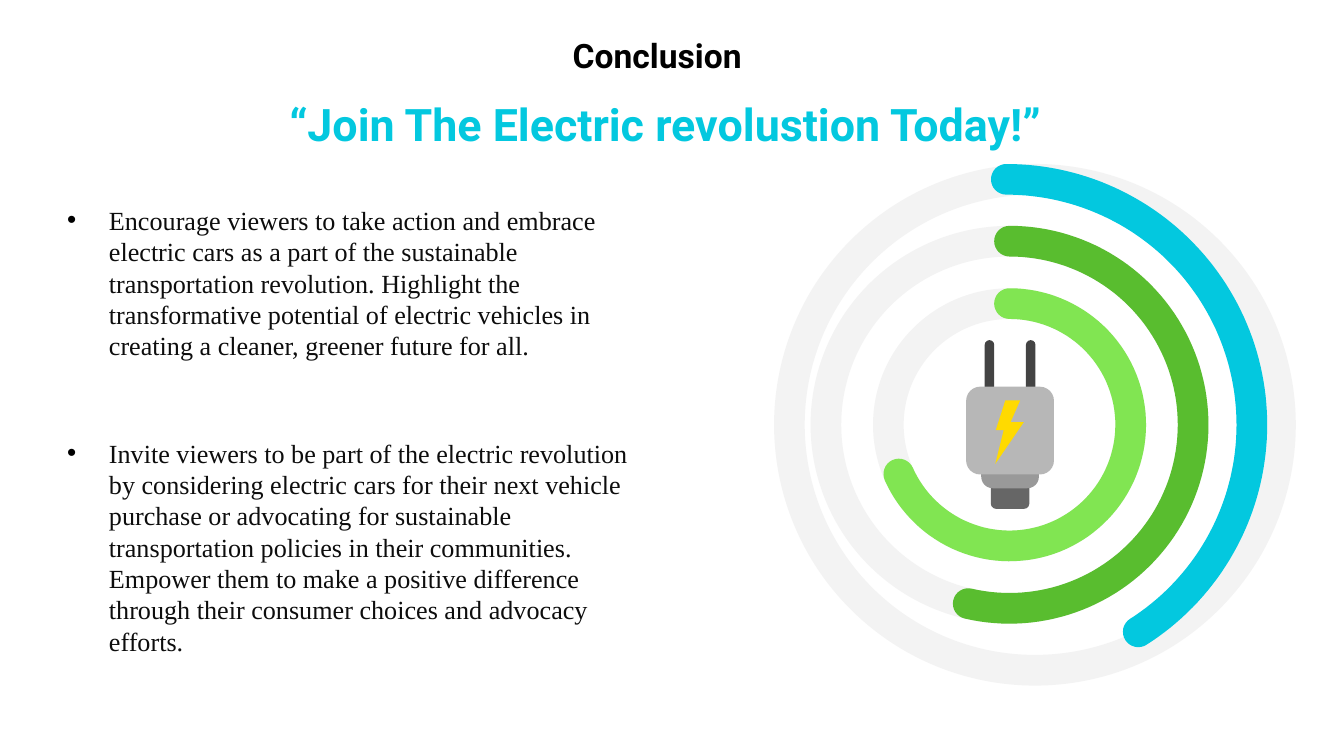
from math import cos, sin, radians

from lxml.etree import SubElement
from pptx import Presentation
from pptx.dml.color import RGBColor
from pptx.enum.shapes import MSO_SHAPE
from pptx.enum.text import MSO_ANCHOR, MSO_AUTO_SIZE, PP_ALIGN
from pptx.oxml.ns import qn
from pptx.util import Cm, Pt

TITLE = "Conclusion"
TAGLINE = "“Join The Electric revolustion Today!”"
BULLETS = [
    ("Encourage viewers to take action and embrace electric cars as a part of the "
     "sustainable transportation revolution. Highlight the transformative potential of "
     "electric vehicles in creating a cleaner, greener future for all.",
     (1.02, 3.73, 11, 3.25)),
    ("Invite viewers to be part of the electric revolution by considering electric cars "
     "for their next vehicle purchase or advocating for sustainable transportation "
     "policies in their communities. Empower them to make a positive difference through "
     "their consumer choices and advocacy efforts.",
     (1.02, 8.13, 11.58, 4.45)),
]

MIDDLE_Y = 8.03
THICKNESS = 0.58
RINGS = [(19.56, 4.93), (19.08, 3.76), (19.08, 2.58)]
ARCS = [
    (19.02, 4.93, 57.5, "03C8DF"),
    (19.08, 3.76, 103, "59BD2F"),
    (19.08, 2.58, 156, "81E552"),
]
PLUG_X = 19.09
PLUG_PARTS = [
    (0, 8.89, 0.73, 0.73, 0.14, "666666"),
    (-0.39, 6.43, 0.18, 1.35, 0.5, "434343"),
    (0.39, 6.43, 0.18, 1.35, 0.5, "434343"),
    (0, 8.13, 1.09, 1.1, 0.2, "999999"),
    (0, 7.31, 1.66, 1.66, 0.16, "B7B7B7"),
]
BOLT = [(19, 7.57), (18.82, 8.13), (18.97, 8.13), (18.81, 8.77),
        (19.35, 7.98), (19.1, 7.98), (19.28, 7.57)]


def color(code):
    return RGBColor.from_string(code)


def paint(shape, code):
    shape.shadow.inherit = False
    shape.fill.solid()
    shape.fill.fore_color.rgb = color(code)
    shape.line.fill.background()


def add_preset(page, kind, left, top, width, height, adjustment, code):
    shape = page.shapes.add_shape(kind, Cm(left), Cm(top), Cm(width), Cm(height))
    shape.adjustments[0] = adjustment
    paint(shape, code)


def add_outline(page, points, code):
    first, *rest = [(Cm(x), Cm(y)) for x, y in points]
    builder = page.shapes.build_freeform(*first)
    builder.add_line_segments(rest, close=True)
    paint(builder.convert_to_shape(), code)


def sweep(x, y, radius, start, end, steps):
    angles = [radians(start + (end - start) * i / steps) for i in range(steps + 1)]
    return [(x + radius * cos(a), y + radius * sin(a)) for a in angles]


def arc_points(x, radius, end):
    start, cap = -90, THICKNESS / 2
    middle = radius - cap
    end_x, end_y = sweep(x, MIDDLE_Y, middle, end, end, 1)[0]
    return (sweep(x, MIDDLE_Y, radius, start, end, 90)
            + sweep(end_x, end_y, cap, end, end + 180, 16)
            + sweep(x, MIDDLE_Y, radius - THICKNESS, end, start, 90)
            + sweep(x, MIDDLE_Y - middle, cap, start + 180, start + 360, 16))


def write(box, text, place, font, size, code, bold=False, inset=0.25, **para_format):
    box.left, box.top, box.width, box.height = map(Cm, place)
    frame = box.text_frame
    frame_format = {
        "word_wrap": True, "auto_size": MSO_AUTO_SIZE.NONE,
        "vertical_anchor": MSO_ANCHOR.TOP,
        "margin_left": Cm(0.25), "margin_right": Cm(0.25),
        "margin_top": Cm(inset), "margin_bottom": Cm(inset),
    }
    for name, value in frame_format.items():
        setattr(frame, name, value)
    para = frame.paragraphs[0]
    for name, value in para_format.items():
        setattr(para, name, value)
    span = para.add_run()
    span.text = text
    for name, value in {"name": font, "size": Pt(size), "bold": bold}.items():
        setattr(span.font, name, value)
    span.font.color.rgb = color(code)
    return para


def add_bullet(para):
    properties = para._p.get_or_add_pPr()
    properties.set("marL", str(Cm(0.79)))
    properties.set("indent", str(-Cm(0.79)))
    tint = SubElement(properties, qn("a:buClr"))
    SubElement(tint, qn("a:srgbClr"), val="000000")
    SubElement(properties, qn("a:buFont"), typeface="Arial")
    SubElement(properties, qn("a:buChar"), char="•")


def add_text_box(page):
    return page.shapes.add_textbox(0, 0, Cm(1), Cm(1))


def main():
    deck = Presentation()
    deck.slide_width, deck.slide_height = Cm(25.4), Cm(14.29)
    page = deck.slides.add_slide(deck.slide_layouts[5])

    write(page.shapes.title, TITLE, (0.99, 0.41, 22.86, 1.35), "Roboto", 18, "000000",
          bold=True, alignment=PP_ALIGN.CENTER)
    write(add_text_box(page), TAGLINE, (4.5, 1.42, 15.42, 1.6), "Roboto", 24, "03C8DF",
          bold=True, alignment=PP_ALIGN.RIGHT, line_spacing=1.15, space_after=Pt(16))

    for x, radius in RINGS:
        add_preset(page, MSO_SHAPE.DONUT, x - radius, MIDDLE_Y - radius,
                   2 * radius, 2 * radius, THICKNESS / (2 * radius), "F3F3F3")
    for x, radius, end, code in ARCS:
        add_outline(page, arc_points(x, radius, end), code)
    for offset, top, width, height, rounding, code in PLUG_PARTS:
        add_preset(page, MSO_SHAPE.ROUNDED_RECTANGLE, PLUG_X + offset - width / 2, top,
                   width, height, rounding, code)
    add_outline(page, BOLT, "FFDA00")

    for text, place in BULLETS:
        box = add_text_box(page)
        add_bullet(write(box, text, place, "Times New Roman", 14, "0D0D0D", inset=0.13))
        box.text_frame.auto_size = MSO_AUTO_SIZE.SHAPE_TO_FIT_TEXT

    deck.save("out.pptx")


if __name__ == "__main__":
    main()
